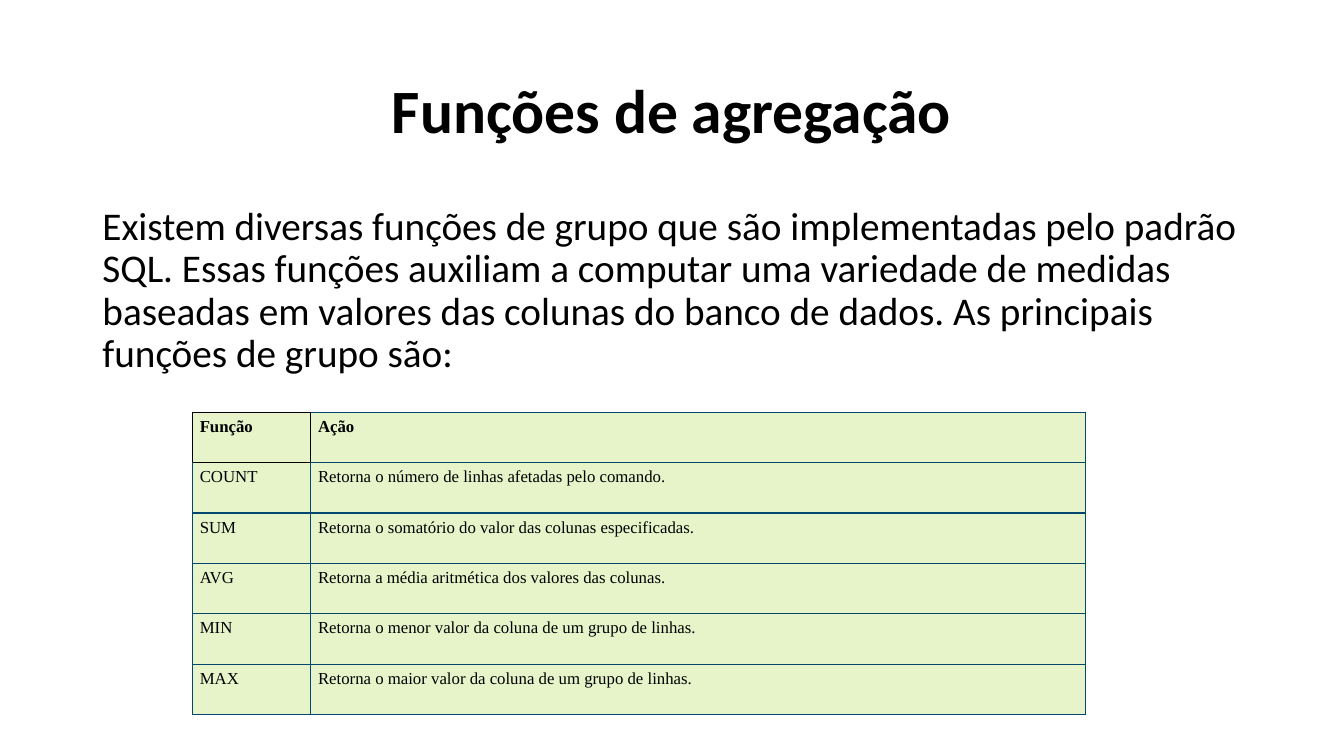
from lxml import etree
from pptx import Presentation
from pptx.dml.color import RGBColor
from pptx.enum.text import MSO_ANCHOR, MSO_AUTO_SIZE, PP_ALIGN
from pptx.oxml.ns import qn
from pptx.util import Pt

CENTER, LEFT = PP_ALIGN.CENTER, PP_ALIGN.LEFT
MIDDLE, TOP = MSO_ANCHOR.MIDDLE, MSO_ANCHOR.TOP
NO_AUTOFIT = MSO_AUTO_SIZE.NONE
BLACK, BLUE, GREEN = "000000", "03476F", "E7F4CA"

TITLE = "Funções de agregação"
INTRODUCTION = (
    "Existem diversas funções de grupo que são implementadas pelo padrão SQL. "
    "Essas funções auxiliam a computar uma variedade de medidas baseadas em "
    "valores das colunas do banco de dados. As principais funções de grupo são:"
)
FUNCTIONS = [
    ("Função", "Ação"),
    ("COUNT", "Retorna o número de linhas afetadas pelo comando."),
    ("SUM", "Retorna o somatório do valor das colunas especificadas."),
    ("AVG", "Retorna a média aritmética dos valores das colunas."),
    ("MIN", "Retorna o menor valor da coluna de um grupo de linhas."),
    ("MAX", "Retorna o maior valor da coluna de um grupo de linhas."),
]


def write_text(text_frame, text, font_name, size, bold=False):
    """Set the text in black, format its run and return its paragraph."""
    text_frame.text = text
    paragraph = text_frame.paragraphs[0]
    font = paragraph.runs[0].font
    font.name, font.size, font.bold = font_name, Pt(size), bold
    font.color.rgb = RGBColor.from_string(BLACK)
    return paragraph


def add_border(cell, side, color):
    """Draw a one-point border on one side of a cell."""
    properties = cell._tc.get_or_add_tcPr()
    line = etree.SubElement(properties, qn(f"a:ln{side}"), w=str(Pt(1)))
    fill = etree.SubElement(line, qn("a:solidFill"))
    etree.SubElement(fill, qn("a:srgbClr"), val=color)


presentation = Presentation()
presentation.slide_width, presentation.slide_height = Pt(960), Pt(540)
slide = presentation.slides.add_slide(presentation.slide_layouts[1])
title, body = slide.placeholders

# Title and introduction
for shape, text, top, height, size, bold, alignment, anchor in [
    (title, TITLE, 28.8, 104.4, 44, True, CENTER, MIDDLE),
    (body, INTRODUCTION, 144, 140.4, 28, False, LEFT, TOP),
]:
    shape.left, shape.top = Pt(66), Pt(top)
    shape.width, shape.height = Pt(828), Pt(height)
    shape.text_frame.auto_size = NO_AUTOFIT
    shape.text_frame.vertical_anchor = anchor
    paragraph = write_text(shape.text_frame, text, "Calibri", size, bold)
    paragraph.alignment = alignment
    paragraph.line_spacing = 0.9

# The introduction is a plain paragraph without bullet or indent
paragraph.space_before = Pt(10)
paragraph_properties = paragraph._p.get_or_add_pPr()
paragraph_properties.set("marL", "0")
paragraph_properties.set("indent", "0")
etree.SubElement(paragraph_properties, qn("a:buNone"))

# Table of aggregate functions
column_widths = [84.5, 553.5]
row_height = 36
table = slide.shapes.add_table(
    len(FUNCTIONS), len(column_widths), Pt(137.5), Pt(294.5),
    Pt(sum(column_widths)), Pt(row_height * len(FUNCTIONS)),
).table
table.first_row = table.horz_banding = False
for column, width in zip(table.columns, column_widths):
    column.width = Pt(width)

for row_index, row_texts in enumerate(FUNCTIONS):
    table.rows[row_index].height = Pt(row_height)
    for column_index, text in enumerate(row_texts):
        cell = table.cell(row_index, column_index)
        write_text(cell.text_frame, text, "Times New Roman", 12, row_index == 0)
        cell.margin_left = cell.margin_right = Pt(5.2)
        cell.margin_top = cell.margin_bottom = Pt(3.6)
        # The first header cell is framed in black, also by its neighbours
        black_sides = {(0, 0): "LRTB", (0, 1): "L", (1, 0): "T"}.get(
            (row_index, column_index), "")
        for side in "LRTB":
            add_border(cell, side, BLACK if side in black_sides else BLUE)
        cell.fill.solid()
        cell.fill.fore_color.rgb = RGBColor.from_string(GREEN)

presentation.save("out.pptx")
